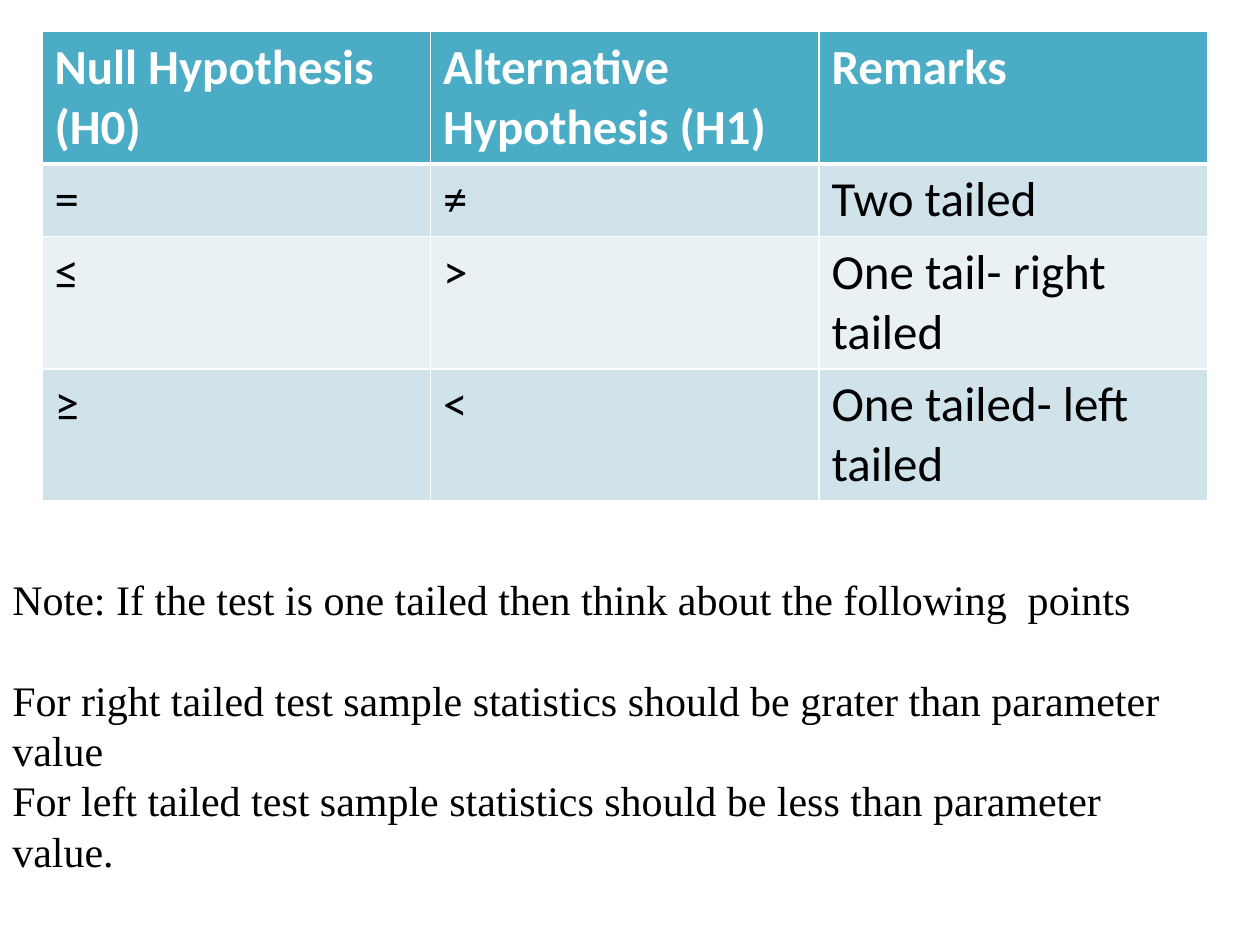
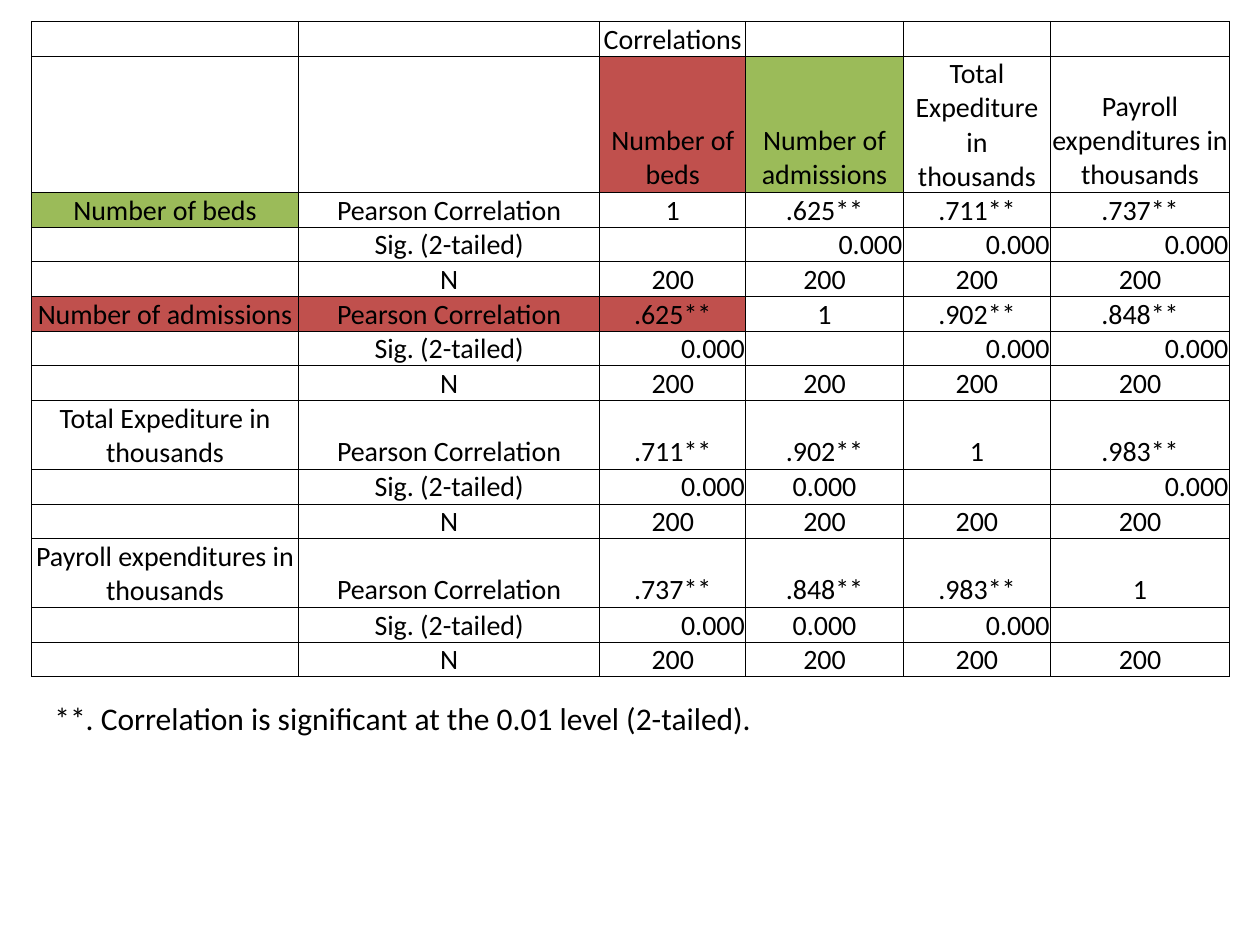
from lxml import etree
from pptx import Presentation
from pptx import util as u
from pptx.dml.color import RGBColor
from pptx.enum import text as t
from pptx.oxml.ns import qn

COLORS = {
    "black": "000000", "white": "FFFFFF", "teal": "4BACC6",
    "band_dark": "D0E3EA", "band_light": "E9F1F5",
    "red": "C0504D", "green": "9BBB59",
}
LEFT, CENTER, RIGHT = t.PP_ALIGN.LEFT, t.PP_ALIGN.CENTER, t.PP_ALIGN.RIGHT


def write(frame, content, size=18, font="Calibri", color="black", bold=False,
          align=LEFT, first_gap=0):
    """Write one paragraph per line; first_gap follows the first one."""
    for i, line in enumerate(content.split("\n")):
        paragraph = frame.paragraphs[0] if i == 0 else frame.add_paragraph()
        paragraph.alignment = align
        if i == 0 and first_gap:
            paragraph.space_after = u.Pt(first_gap)
        if not line:
            # An empty cell still needs the text size, or its row grows
            etree.SubElement(paragraph._p, qn("a:endParaRPr"), sz=str(size * 100))
            continue
        run = paragraph.add_run()
        run.text = line
        run.font.size, run.font.name, run.font.bold = u.Pt(size), font, bold
        run.font.color.rgb = RGBColor.from_string(COLORS[color])


def style_cell(cell, fill, border, widths, margins=None, anchor=t.MSO_ANCHOR.TOP):
    """Set borders (widths in order left, right, top, bottom), fill and insets."""
    properties = cell._tc.get_or_add_tcPr()
    for side, width in zip("LRTB", widths):
        line = etree.SubElement(properties, qn("a:ln" + side), w=str(u.Pt(width)))
        solid = etree.SubElement(line, qn("a:solidFill"))
        etree.SubElement(solid, qn("a:srgbClr"), val=COLORS[border])
    if fill:
        cell.fill.solid()
        cell.fill.fore_color.rgb = RGBColor.from_string(COLORS[fill])
    else:
        cell.fill.background()
    cell.vertical_anchor = anchor
    if margins is not None:
        cell.margin_left = cell.margin_right = cell.margin_top = u.Pt(margins)
        cell.margin_bottom = 0


prs = Presentation()
prs.slide_width, prs.slide_height = u.Pt(720), u.Pt(540)
blank = prs.slide_layouts[6]
hypothesis_slide, correlation_slide = [prs.slides.add_slide(blank) for _ in range(2)]

# Contents of the hypothesis table
hypotheses = [
    ["Null Hypothesis (H0)", "Alternative Hypothesis (H1)", "Remarks"],
    ["=", "≠", "Two tailed"],
    ["≤", ">", "One tail- right tailed"],
    ["≥", "<", "One tailed- left tailed"],
]
hypothesis_fills = ["teal", "band_dark", "band_light", "band_dark"]

# Contents of the correlation table: three rows for each measure
measures = ["Number of beds", "Number of admissions",
            "Total Expediture in thousands", "Payroll expenditures in thousands"]
coefficients = [
    ["1", ".625**", ".711**", ".737**"],
    [".625**", "1", ".902**", ".848**"],
    [".711**", ".902**", "1", ".983**"],
    [".737**", ".848**", ".983**", "1"],
]
correlations = [["", "", "Correlations", "", "", ""], ["", ""] + measures]
for i, measure in enumerate(measures):
    significance = ["" if j == i else "0.000" for j in range(len(measures))]
    correlations += [
        [measure, "Pearson Correlation"] + coefficients[i],
        ["", "Sig. (2-tailed)"] + significance,
        ["", "N"] + ["200"] * len(measures),
    ]
highlights = {(1, 2): "red", (1, 3): "green", (2, 0): "green",
              (5, 0): "red", (5, 1): "red", (5, 2): "red"}
centered_significance = {(9, 3), (12, 3)}

# Table frames
one_line, two_lines, four_lines = 19.8, 39.3, 78
measure_rows = [one_line] * 3
wrapped_rows = [two_lines, one_line, one_line]
layouts = [
    (hypothesis_slide, hypotheses, 24, 18, [222] * 3, [75.6, 41.4, 75.6, 75.6]),
    (correlation_slide, correlations, 18, 12.2,
     [152.6, 172.1, 83.5, 90, 84.2, 102.2],
     [one_line, four_lines] + measure_rows * 2 + wrapped_rows * 2),
]
tables = []
for slide, rows, left, top, widths, heights in layouts:
    table = slide.shapes.add_table(
        len(rows), len(widths), u.Pt(left), u.Pt(top),
        u.Pt(sum(widths)), u.Pt(sum(heights))).table
    table.first_row = table.horz_banding = False
    for column, width in zip(table.columns, widths):
        column.width = u.Pt(width)
    for row, height in zip(table.rows, heights):
        row.height = u.Pt(height)
    tables.append(table)
hypothesis_table, correlation_table = tables

# Hypothesis cells
for r, row in enumerate(hypotheses):
    header = r == 0
    for c, label in enumerate(row):
        cell = hypothesis_table.cell(r, c)
        style_cell(cell, hypothesis_fills[r], "white",
                   [1, 1, 3 if r == 1 else 1, 3 if header else 1])
        write(cell.text_frame, label, size=28, bold=header,
              color="white" if header else "black")

# Correlation cells
for r, row in enumerate(correlations):
    for c, label in enumerate(row):
        cell = correlation_table.cell(r, c)
        style_cell(cell, highlights.get((r, c)), "black", [0.5] * 4,
                   margins=0.6, anchor=t.MSO_ANCHOR.BOTTOM)
        to_right = label == "0.000" and (r, c) not in centered_significance
        write(cell.text_frame, label, size=16, align=RIGHT if to_right else CENTER)

# Notes below the tables
tail_note = (
    "Note: If the test is one tailed then think about the following  points\n"
    "For right tailed test sample statistics should be grater than parameter value\n"
    "For left tailed test sample statistics should be less than parameter value."
)
significance_note = "**. Correlation is significant at the 0.01 level (2-tailed)."
notes = [
    (hypothesis_slide, (0, 324, 690, 181.4), tail_note,
     dict(size=24, font="Times New Roman", first_gap=28.8)),
    (correlation_slide, (24, 396, 468, 29), significance_note, dict(size=18)),
]
for slide, place, note, style in notes:
    frame = slide.shapes.add_textbox(*map(u.Pt, place)).text_frame
    frame.word_wrap = True
    frame.auto_size = t.MSO_AUTO_SIZE.SHAPE_TO_FIT_TEXT
    write(frame, note, **style)

prs.save("out.pptx")
